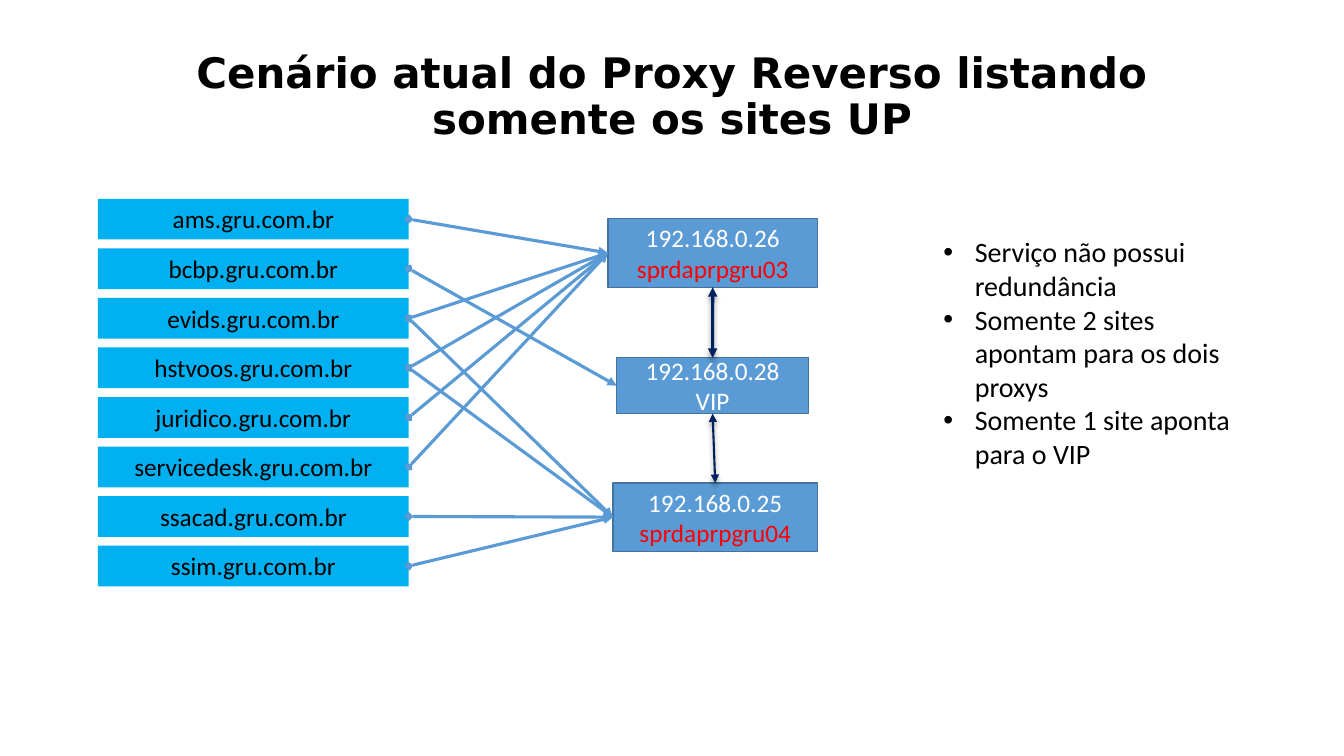
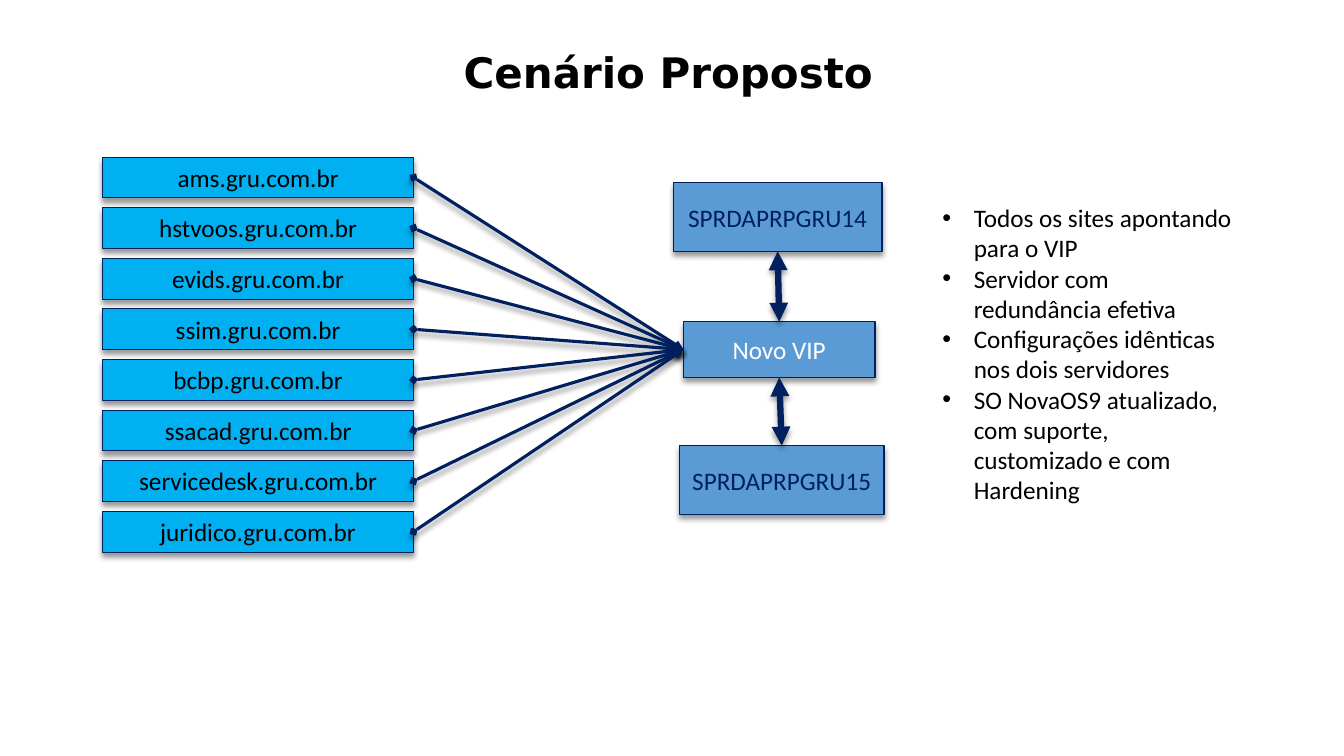
from lxml.etree import SubElement
from pptx import Presentation
from pptx.dml.color import RGBColor
from pptx.enum.shapes import MSO_CONNECTOR, MSO_SHAPE
from pptx.enum.text import MSO_ANCHOR, MSO_AUTO_SIZE, PP_ALIGN
from pptx.oxml.ns import qn
from pptx.util import Pt

BLACK = RGBColor(0x00, 0x00, 0x00)
WHITE = RGBColor(0xFF, 0xFF, 0xFF)
RED = RGBColor(0xFF, 0x00, 0x00)
NAVY = RGBColor(0x00, 0x20, 0x60)
SKY = RGBColor(0x00, 0xB0, 0xF0)
BLUE = RGBColor(0x5B, 0x9B, 0xD5)
STEEL = RGBColor(0x43, 0x73, 0x9E)

BODY_FONT = "Calibri"
TITLE_FONT = "DejaVu Sans"
SITE_WIDTH, SITE_HEIGHT = 222, 29.1
DOMAIN = ".gru.com.br"
TOP, LEFT, BOTTOM, RIGHT = range(4)

SCENARIOS = [
    {
        "title": "Cenário atual do Proxy Reverso listando somente os sites UP",
        "title_area": (66.2, 28.8, 828, 77),
        "title_anchor": MSO_ANCHOR.BOTTOM,
        "sites_at": (70, 142),
        "site_pitch": 35.4,
        "sites": {
            "ams": ["first"],
            "bcbp": ["vip"],
            "evids": ["first", "second"],
            "hstvoos": ["first", "second"],
            "juridico": ["first"],
            "servicedesk": ["first"],
            "ssacad": ["second"],
            "ssim": ["second"],
        },
        "servers": {
            "first": ((434.2, 156.2, 149.8, 49), [("192.168.0.26", WHITE), ("sprdaprpgru03", RED)]),
            "vip": ((440.6, 255.6, 136.8, 39.8), [("192.168.0.28", WHITE), ("VIP", WHITE)]),
            "second": ((437.8, 344.9, 146.2, 49), [("192.168.0.25", WHITE), ("sprdaprpgru04", RED)]),
        },
        "sync_widths": (2.25, 1.5),
        "site_border": None,
        "server_border": STEEL,
        "route_color": BLUE,
        "shadowed": False,
        "notes_area": (666.7, 164.2, 234, 200.9),
        "notes_size": 20,
        "notes": [
            "Serviço não possui redundância",
            "Somente 2 sites apontam para os dois proxys",
            "Somente 1 site aponta para o VIP",
        ],
    },
    {
        "title": "Cenário Proposto",
        "title_area": (63.4, 24.5, 828, 58.3),
        "title_anchor": MSO_ANCHOR.MIDDLE,
        "sites_at": (73.4, 112.2),
        "site_pitch": 36.15,
        "sites": {
            name: ["vip"]
            for name in ("ams", "hstvoos", "evids", "ssim", "bcbp", "ssacad", "servicedesk", "juridico")
        },
        "servers": {
            "first": ((481, 130.5, 149, 49), [("SPRDAPRPGRU14", NAVY)]),
            "vip": ((488.2, 229.8, 136.8, 39.8), [("Novo VIP", WHITE)]),
            "second": ((485.3, 318.3, 146.2, 49), [("SPRDAPRPGRU15", NAVY)]),
        },
        "sync_widths": (4.5, 4.5),
        "site_border": NAVY,
        "server_border": NAVY,
        "route_color": NAVY,
        "shadowed": True,
        "notes_area": (666, 141.1, 227.5, 225.4),
        "notes_size": 18,
        "notes": [
            "Todos os sites apontando para o VIP",
            "Servidor com redundância efetiva",
            "Configurações idênticas nos dois servidores",
            "SO NovaOS9 atualizado, com suporte, customizado e com Hardening",
        ],
    },
]


def points(area):
    return [Pt(length) for length in area]


def set_font(paragraph, size, color, name=BODY_FONT, bold=False):
    font = paragraph.font
    font.size, font.name, font.bold = Pt(size), name, bold
    font.color.rgb = color


def add_shadow(effects):
    outer = SubElement(effects, qn("a:outerShdw"), blurRad=str(Pt(4)), dist=str(Pt(3)),
                       dir="5400000", algn="t", rotWithShape="0")
    tint = SubElement(outer, qn("a:srgbClr"), val=str(BLACK))
    SubElement(tint, qn("a:alpha"), val="40000")


def add_box(slide, area, lines, fill, border, border_width, anchor, shadowed):
    box = slide.shapes.add_shape(MSO_SHAPE.RECTANGLE, *points(area))
    box.fill.solid()
    box.fill.fore_color.rgb = fill
    if border is None:
        box.line.fill.background()
    else:
        box.line.color.rgb = border
        box.line.width = Pt(border_width)
    box.shadow.inherit = False
    if shadowed:
        add_shadow(box._element.spPr.find(qn("a:effectLst")))
    frame = box.text_frame
    frame.vertical_anchor = anchor
    frame.text = "\n".join(text for text, _ in lines)
    for paragraph, (_, color) in zip(frame.paragraphs, lines):
        paragraph.alignment = PP_ALIGN.CENTER
        set_font(paragraph, 18, color)
    return box


def add_arrow(slide, start, start_side, end, end_side, color, width, head, shadowed):
    arrow = slide.shapes.add_connector(MSO_CONNECTOR.STRAIGHT, 0, 0, 0, 0)
    arrow.begin_connect(start, start_side)
    arrow.end_connect(end, end_side)
    arrow.line.color.rgb = color
    arrow.line.width = Pt(width)
    properties = arrow._element.spPr
    stroke = properties.find(qn("a:ln"))
    SubElement(stroke, qn("a:headEnd"), type=head)
    SubElement(stroke, qn("a:tailEnd"), type="triangle")
    effects = SubElement(properties, qn("a:effectLst"))
    if shadowed:
        add_shadow(effects)


def add_title(slide, text, area, anchor):
    frame = slide.shapes.add_textbox(*points(area)).text_frame
    frame.word_wrap = True
    frame.vertical_anchor = anchor
    frame.text = text
    title = frame.paragraphs[0]
    title.alignment = PP_ALIGN.CENTER
    title.line_spacing = 0.9
    set_font(title, 30, BLACK, TITLE_FONT, True)


def add_notes_list(slide, notes, area, size):
    frame = slide.shapes.add_textbox(*points(area)).text_frame
    frame.word_wrap = True
    frame.auto_size = MSO_AUTO_SIZE.SHAPE_TO_FIT_TEXT
    frame.text = "\n".join(notes)
    for paragraph in frame.paragraphs:
        properties = paragraph._p.get_or_add_pPr()
        properties.set("marL", str(Pt(22.5)))
        properties.set("indent", str(-Pt(22.5)))
        SubElement(properties, qn("a:buFont"), typeface="Arial")
        SubElement(properties, qn("a:buChar"), char="•")
        set_font(paragraph, size, BLACK)


def add_scenario(deck, scenario):
    slide = deck.slides.add_slide(deck.slide_layouts[6])
    shadowed = scenario["shadowed"]
    servers = {
        role: add_box(slide, area, lines, BLUE, scenario["server_border"], 1, MSO_ANCHOR.MIDDLE, shadowed)
        for role, (area, lines) in scenario["servers"].items()
    }
    left, top = scenario["sites_at"]
    sites = {}
    for row, name in enumerate(scenario["sites"]):
        area = (left, top + row * scenario["site_pitch"], SITE_WIDTH, SITE_HEIGHT)
        sites[name] = add_box(slide, area, [(name + DOMAIN, BLACK)], SKY,
                              scenario["site_border"], 0.75, MSO_ANCHOR.TOP, shadowed)
    for name, targets in scenario["sites"].items():
        for role in targets:
            add_arrow(slide, sites[name], RIGHT, servers[role], LEFT,
                      scenario["route_color"], 2.25, "diamond", shadowed)
    pairs = (("first", "vip"), ("vip", "second"))
    for (upper, lower), width in zip(pairs, scenario["sync_widths"]):
        add_arrow(slide, servers[upper], BOTTOM, servers[lower], TOP, NAVY, width, "triangle", True)
    add_notes_list(slide, scenario["notes"], scenario["notes_area"], scenario["notes_size"])
    add_title(slide, scenario["title"], scenario["title_area"], scenario["title_anchor"])


def main():
    deck = Presentation()
    deck.slide_width, deck.slide_height = Pt(960), Pt(540)
    for scenario in SCENARIOS:
        add_scenario(deck, scenario)
    deck.save("out.pptx")


if __name__ == "__main__":
    main()
